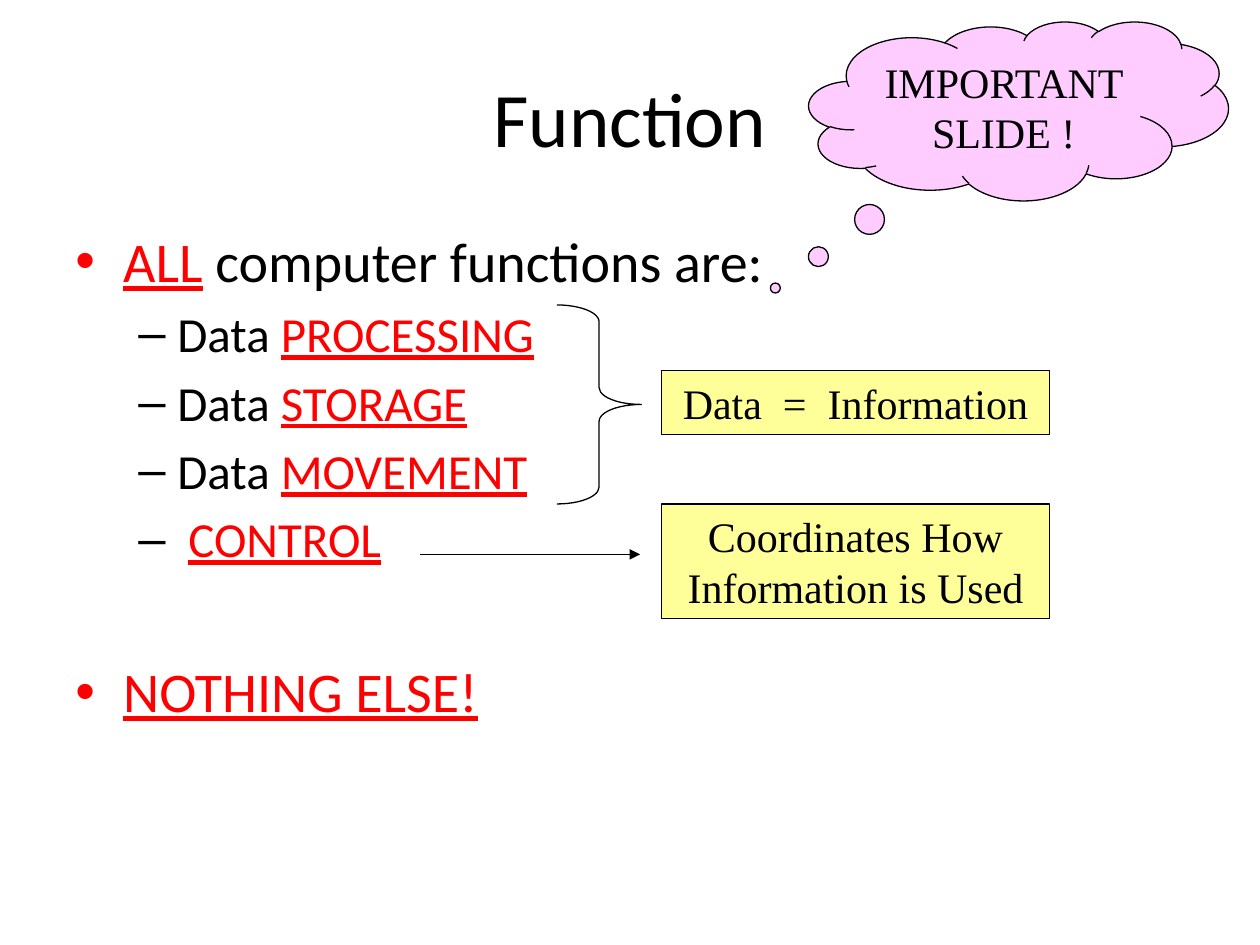
from lxml import etree
from pptx import Presentation
from pptx.dml.color import RGBColor
from pptx.enum.shapes import MSO_CONNECTOR, MSO_SHAPE
from pptx.enum.text import MSO_ANCHOR, PP_ALIGN
from pptx.oxml.ns import qn
from pptx.util import Inches, Pt

RECT = MSO_SHAPE.RECTANGLE
BRACE = MSO_SHAPE.RIGHT_BRACE
CLOUD = MSO_SHAPE.CLOUD_CALLOUT
STRAIGHT = MSO_CONNECTOR.STRAIGHT
CENTER = PP_ALIGN.CENTER
MIDDLE = MSO_ANCHOR.MIDDLE

COLORS = {"text": "000000", "key": "FF0000", "note": "FFFF99", "cloud": "FFCCFF"}
SANS, SERIF = "Calibri", "Times New Roman"
LEVELS = [("•", 32, 0.38, 0.38), ("–", 28, 0.81, 0.31)]
POINTS = [
    (0, 0, "", "ALL", " computer functions are:"),
    (1, 5.5, "Data ", "PROCESSING", ""),
    (1, 5.5, "Data ", "STORAGE", ""),
    (1, 5.5, "Data ", "MOVEMENT", ""),
    (1, 5.5, " ", "CONTROL", ""),
    (0, 51, "", "NOTHING ELSE!", ""),
]


def rgb(name):
    return RGBColor.from_string(COLORS[name])


def style(r, size, font, color="text"):
    r.font.size = Pt(size)
    r.font.name = font
    r.font.color.rgb = rgb(color)


def add_centered(tf, text, size, font):
    tf.word_wrap = True
    tf.vertical_anchor = MIDDLE
    tf.text = text
    p = tf.paragraphs[0]
    p.alignment = CENTER
    style(p.runs[0], size, font)


def add_title(slide, x, y, w, h):
    box = slide.shapes.add_textbox(Inches(x), Inches(y), Inches(w), Inches(h))
    add_centered(box.text_frame, "Function", 44, SANS)


def set_bullet(p, char, left, hanging):
    pPr = p._p.get_or_add_pPr()
    pPr.set("marL", str(Inches(left)))
    pPr.set("indent", str(-Inches(hanging)))
    etree.SubElement(pPr, qn("a:buFont")).set("typeface", "Arial")
    etree.SubElement(pPr, qn("a:buChar")).set("char", char)


def add_points(slide, x, y, w, h):
    box = slide.shapes.add_textbox(Inches(x), Inches(y), Inches(w), Inches(h))
    tf = box.text_frame
    tf.word_wrap = True
    for i, (level, space, before, key, after) in enumerate(POINTS):
        p = tf.add_paragraph() if i else tf.paragraphs[0]
        char, size, left, hanging = LEVELS[level]
        p.level = level
        set_bullet(p, char, left, hanging)
        p.space_before = Pt(space)
        for text, color in ((before, "text"), (key, "key"), (after, "text")):
            if text:
                r = p.add_run()
                r.text = text
                style(r, size, SANS, color)
                r.font.underline = color == "key"


def add_outlined(slide, kind, x, y, w, h, fill=None, text=None, adjustments=()):
    sp = slide.shapes.add_shape(kind, Inches(x), Inches(y), Inches(w), Inches(h))
    sp.shadow.inherit = False
    if fill:
        sp.fill.solid()
        sp.fill.fore_color.rgb = rgb(fill)
    else:
        sp.fill.background()
    sp.line.color.rgb = rgb("text")
    sp.line.width = Pt(0.75)
    for i, value in enumerate(adjustments):
        sp.adjustments[i] = value
    if text:
        add_centered(sp.text_frame, text, 24, SERIF)


def add_arrow(slide, x1, x2, y):
    line = slide.shapes.add_connector(STRAIGHT, Inches(x1), Inches(y), Inches(x2), Inches(y))
    line.line.color.rgb = rgb("text")
    line.line.width = Pt(0.75)
    etree.SubElement(line.line._get_or_add_ln(), qn("a:tailEnd")).set("type", "triangle")
    etree.SubElement(line._element.spPr, qn("a:effectLst"))


def add_notes(slide, x, y, w, h):
    note_x, note_w = x + 0.83, w - 0.83
    add_outlined(slide, RECT, note_x, y + 0.52, note_w, 0.51, "note", "Data  =  Information")
    add_outlined(slide, BRACE, x, y, 0.67, 1.58, adjustments=(0.2, 0.5))
    add_arrow(slide, x - 1.09, x + 0.66, y + 1.98)
    add_outlined(slide, RECT, note_x, y + 1.58, note_w, h - 1.58, "note",
                 "Coordinates How Information is Used")


def add_callout(slide, x, y, w, h):
    add_outlined(slide, CLOUD, x, y, w, h, "cloud", "IMPORTANT SLIDE !", (-0.58, 0.99))


def main():
    prs = Presentation()
    prs.slide_width, prs.slide_height = Inches(10), Inches(7.5)
    slide = prs.slides.add_slide(prs.slide_layouts[6])
    add_title(slide, 0.5, 0.3, 9, 1.25)
    add_points(slide, 0.5, 1.75, 9, 4.95)
    add_notes(slide, 4.42, 2.42, 3.91, 2.49)
    add_callout(slide, 6.42, 0.17, 3.33, 1.42)
    prs.save("out.pptx")


if __name__ == "__main__":
    main()
